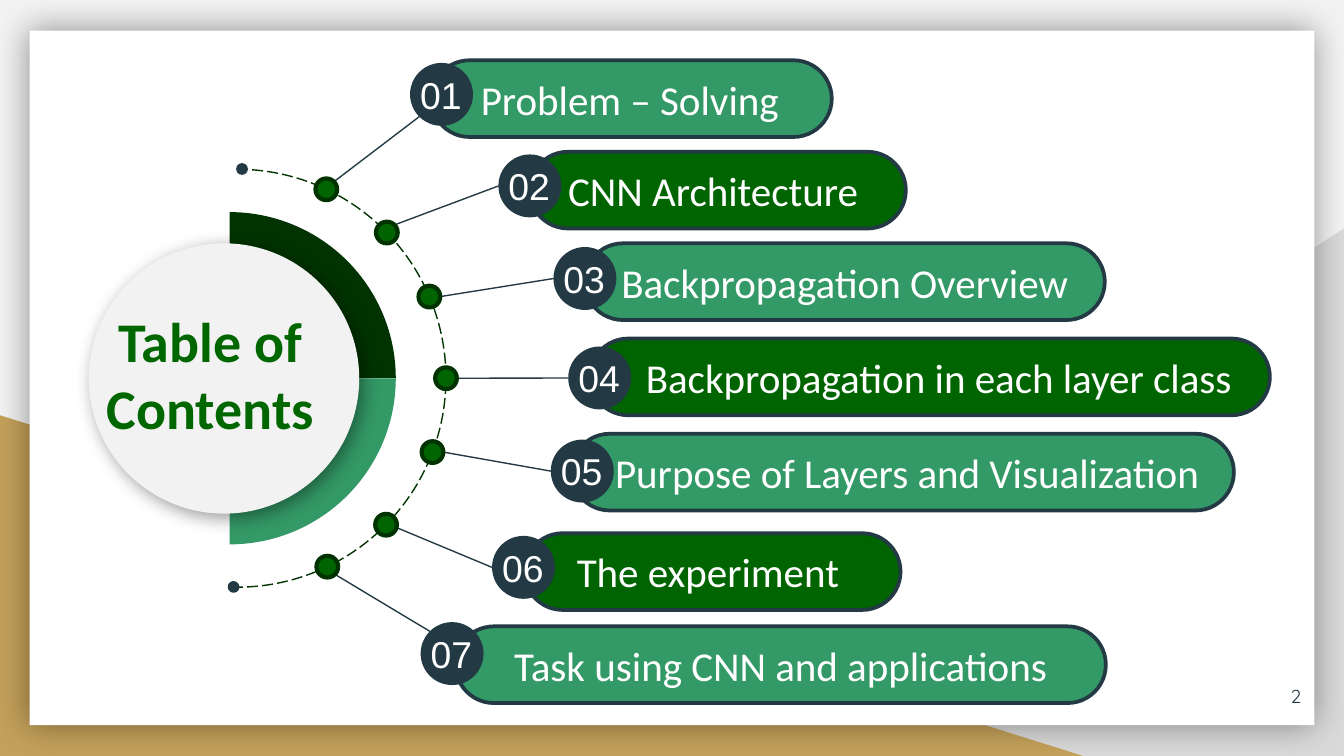
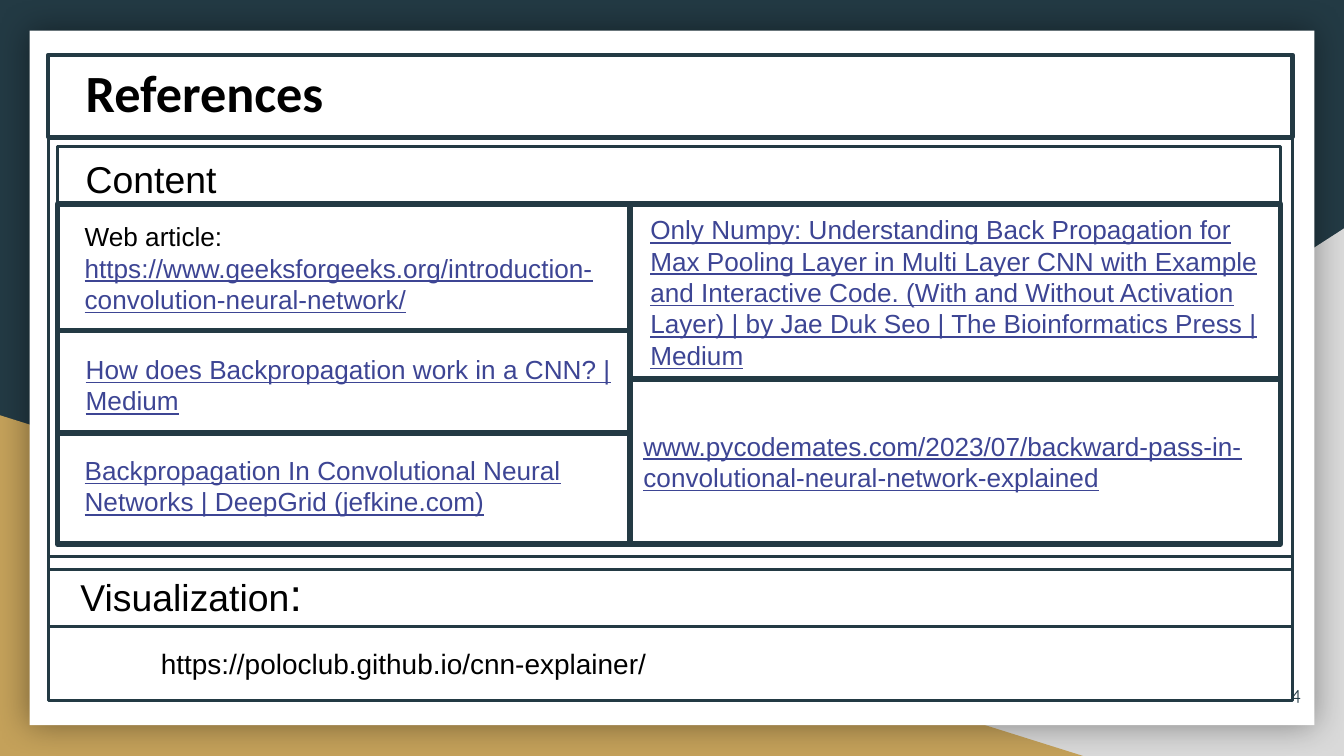
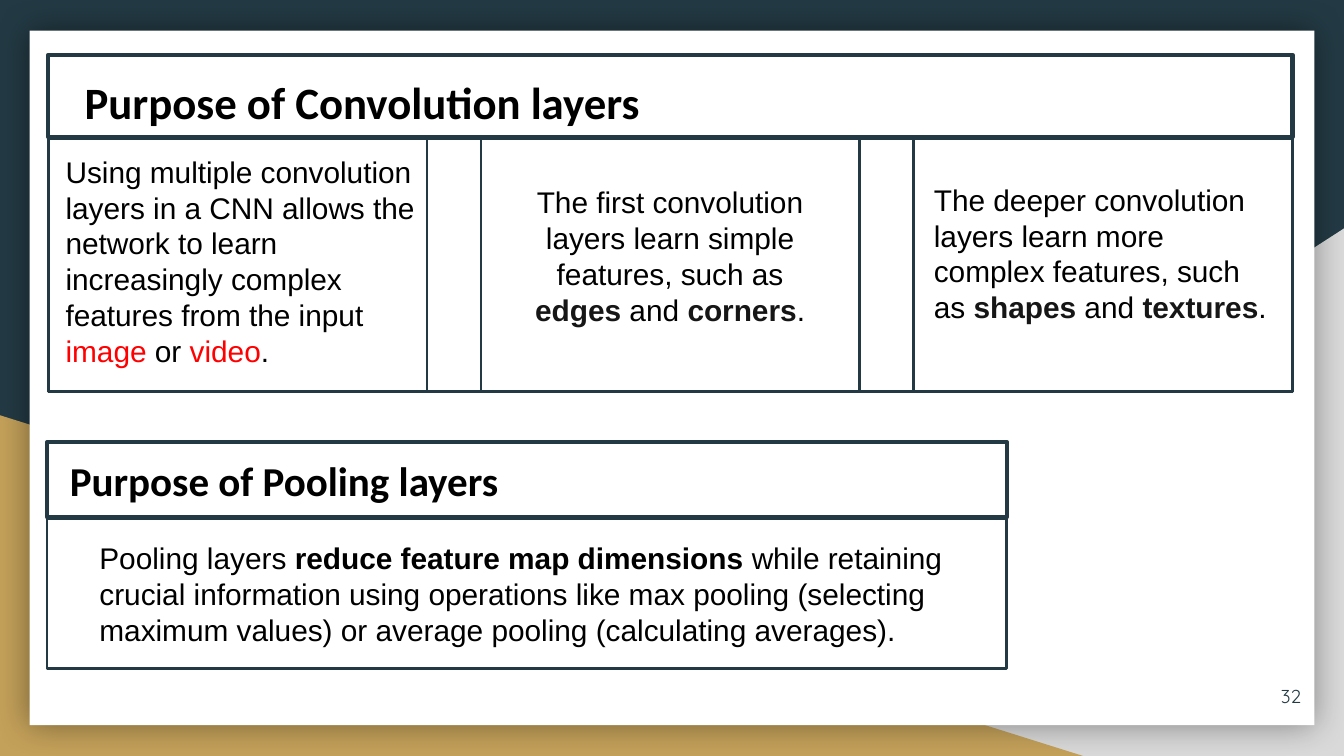
from dataclasses import dataclass
from math import cos, radians, sin
from typing import NamedTuple

from lxml import etree
from pptx import Presentation
from pptx.dml.color import RGBColor
from pptx.enum.dml import MSO_LINE
from pptx.enum.shapes import MSO_CONNECTOR, MSO_SHAPE
from pptx.enum.text import MSO_ANCHOR, PP_ALIGN
from pptx.oxml.ns import qn
from pptx.shapes.autoshape import Shape
from pptx.slide import Slide
from pptx.util import Cm, Pt

OVAL = MSO_SHAPE.OVAL
RECT = MSO_SHAPE.RECTANGLE
PILL = MSO_SHAPE.ROUNDED_RECTANGLE
ANGLE = MSO_SHAPE.RIGHT_TRIANGLE
ARC = MSO_SHAPE.ARC
WEDGE = MSO_SHAPE.PIE_WEDGE
LINE = MSO_CONNECTOR.STRAIGHT
DASH = MSO_LINE.LONG_DASH
LEFT = PP_ALIGN.LEFT
RIGHT = PP_ALIGN.RIGHT
CENTER = PP_ALIGN.CENTER
TOP = MSO_ANCHOR.TOP
MIDDLE = MSO_ANCHOR.MIDDLE

BLACK = RGBColor(0x00, 0x00, 0x00)
WHITE = RGBColor(0xFF, 0xFF, 0xFF)
PALE = RGBColor(0xF2, 0xF2, 0xF2)
GRAY = RGBColor(0xD9, 0xD9, 0xD9)
GOLD = RGBColor(0xC4, 0xA1, 0x5A)
NAVY = RGBColor(0x23, 0x3A, 0x44)
FOREST = RGBColor(0x00, 0x64, 0x00)
GREEN = RGBColor(0x00, 0x66, 0x00)
DEEP = RGBColor(0x00, 0x33, 0x00)
MINT = RGBColor(0x33, 0x99, 0x66)
LINK = RGBColor(0x3D, 0x45, 0x94)
RED = RGBColor(0xFF, 0x00, 0x00)
INK = RGBColor(0x16, 0x16, 0x16)

SANS = "Arial"
HEAD = "Calibri"
PAGE = "Quicksand"

HUB_X, HUB_Y, REACH = 4.48, 7.15, 3.95
DOT, BADGE, BAR = 0.41, 1.19, 1.45
EDGE, WIDE = 0.91, 23.52
SIDE, ROOF = 0.25, 0.13


class Spot(NamedTuple):
    left: float
    top: float
    width: float
    height: float


class Run(NamedTuple):
    text: str
    color: RGBColor | None = None
    bold: bool | None = None
    under: bool | None = None
    size: float | None = None


@dataclass(frozen=True)
class Style:
    size: float
    color: RGBColor = BLACK
    font: str = SANS
    bold: bool = False
    under: bool = False
    align: PP_ALIGN = LEFT
    anchor: MSO_ANCHOR = TOP
    inset: float = ROOF


@dataclass(frozen=True)
class Topic:
    label: str
    bar_x: float
    bar_y: float
    width: float
    badge_x: float
    badge_y: float
    turn: float
    leave: float
    enter: float
    shift: float = 0


BODY = Style(16)
CITE = Style(14, LINK, under=True)
LABEL = Style(22, WHITE, HEAD, align=CENTER, anchor=MIDDLE)
COUNT = Style(20, WHITE)
FOLIO = Style(10, NAVY, PAGE, align=RIGHT, anchor=MIDDLE, inset=SIDE)

TOPICS = [
    Topic("Problem – Solving", 8.15, 1.14, 7.57, 7.75, 1.19, -64.7, -45, 135, -0.06),
    Topic("CNN Architecture", 10.01, 2.87, 7.11, 9.42, 2.92, -44.2, -45, 180, -0.17),
    Topic("Backpropagation Overview", 11.05, 4.6, 9.83, 10.46, 4.67, -23, 0, 180),
    Topic("Backpropagation in each layer class", 11.15, 6.4, 12.85, 10.74, 6.55,
          0, 0, 180, 0.34),
    Topic("Purpose of Layers and Visualization", 10.8, 8.2, 12.52, 10.41, 8.31,
          20.7, 0, 180, 0.17),
    Topic("The experiment", 9.91, 10.08, 7.11, 9.3, 10.13, 44.5, 210, 180, -0.17),
    Topic("Task using CNN and applications", 8.61, 11.84, 12.29, 7.95, 11.76,
          64.4, 45, 225),
]


def draw(slide: Slide, kind: MSO_SHAPE, spot: Spot, fill: RGBColor | None = None,
         line: RGBColor | None = None, weight: float = 0) -> Shape:
    shape = slide.shapes.add_shape(kind, *map(Cm, spot))
    shape.shadow.inherit = False
    if fill is None:
        shape.fill.background()
    else:
        shape.fill.solid()
        shape.fill.fore_color.rgb = fill
    if line is None:
        shape.line.fill.background()
    else:
        shape.line.color.rgb = line
        shape.line.width = Pt(weight)
    return shape


def shade(shape: Shape, blur: float, drop: float, turn: float) -> None:
    effects = shape.element.spPr.find(qn("a:effectLst"))
    outer = etree.SubElement(effects, qn("a:outerShdw"), blurRad=str(Pt(blur)),
                             dist=str(Pt(drop)), dir=str(int(turn * 60000)),
                             algn="ctr", rotWithShape="0")
    tint = etree.SubElement(outer, qn("a:srgbClr"), val=str(BLACK))
    etree.SubElement(tint, qn("a:alpha"), val="40000")


def fill_text(shape: Shape, style: Style, *lines: str | list[Run],
              shift: float = 0) -> None:
    frame = shape.text_frame
    frame.word_wrap = True
    frame.vertical_anchor = style.anchor
    frame.margin_left = Cm(SIDE + max(shift, 0))
    frame.margin_right = Cm(SIDE + max(-shift, 0))
    frame.margin_top = frame.margin_bottom = Cm(style.inset)
    for place, line in enumerate(lines):
        para = frame.add_paragraph() if place else frame.paragraphs[0]
        para.alignment = style.align
        para.font.name = style.font
        para.font.size = Pt(style.size)
        para.font.bold = style.bold
        para.font.underline = style.under
        para.font.color.rgb = style.color
        for part in [Run(line)] if isinstance(line, str) else line:
            run = para.add_run()
            run.text = part.text
            if part.color is not None:
                run.font.color.rgb = part.color
            if part.bold is not None:
                run.font.bold = part.bold
            if part.under is not None:
                run.font.underline = part.under
            if part.size is not None:
                run.font.size = Pt(part.size)


def write(slide: Slide, spot: Spot, style: Style, *lines: str | list[Run]) -> None:
    fill_text(slide.shapes.add_textbox(*map(Cm, spot)), style, *lines)


def frame_box(slide: Slide, spot: Spot, weight: float = 1.5) -> Shape:
    return draw(slide, RECT, spot, WHITE, NAVY, weight)


def title_band(slide: Slide) -> None:
    frame_box(slide, Spot(EDGE, 1.04, WIDE, 1.55), 2.25)


def heading(slide: Slide, spot: Spot, size: float, text: str) -> None:
    write(slide, spot, Style(size, font=HEAD, bold=True, inset=SIDE), text)


def stack(slide: Slide, left: float, top: float, width: float,
          heights: list[float]) -> list[Shape]:
    cells = []
    for height in heights:
        cells.append(frame_box(slide, Spot(left, top, width, height), 3))
        top += height
    return cells


def new_slide(deck: Presentation, back: RGBColor, number: int) -> Slide:
    slide = deck.slides.add_slide(deck.slide_layouts[6])
    slide.background.fill.solid()
    slide.background.fill.fore_color.rgb = back
    corner = draw(slide, ANGLE, Spot(9.96, 4.32, 15.44, 9.97), GRAY)
    corner.element.spPr.find(qn("a:xfrm")).set("flipH", "1")
    draw(slide, ANGLE, Spot(0, 7.85, 20.47, 6.44), GOLD)
    shade(draw(slide, RECT, Spot(0.56, 0.58, 24.28, 13.13), WHITE), 18, 0, 0)
    write(slide, Spot(23.32, 12.62, 1.52, 1.09), FOLIO, str(number))
    return slide


def rim(x: float, y: float, reach: float, turn: float) -> tuple[float, float]:
    return x + reach * cos(radians(turn)), y + reach * sin(radians(turn))


def add_link(slide: Slide, start: tuple[float, float],
             end: tuple[float, float]) -> None:
    link = slide.shapes.add_connector(LINE, *map(Cm, start + end))
    link.line.color.rgb = NAVY
    link.line.width = Pt(0.75)
    etree.SubElement(link.element.spPr, qn("a:effectLst"))


def add_topic(slide: Slide, number: int, topic: Topic) -> None:
    x, y = rim(HUB_X, HUB_Y, REACH, topic.turn)
    half = BADGE / 2
    add_link(slide, rim(x, y, DOT / 2, topic.leave),
             rim(topic.badge_x + half, topic.badge_y + half, half, topic.enter))
    draw(slide, OVAL, Spot(x - DOT / 2, y - DOT / 2, DOT, DOT), FOREST, DEEP, 2.25)
    bar = draw(slide, PILL, Spot(topic.bar_x, topic.bar_y, topic.width, BAR),
               MINT if number % 2 else FOREST, NAVY, 2)
    bar.adjustments[0] = 0.5
    fill_text(bar, LABEL, topic.label, shift=topic.shift)
    draw(slide, OVAL, Spot(topic.badge_x, topic.badge_y, BADGE, BADGE), NAVY)
    write(slide, Spot(topic.badge_x - 0.06, topic.badge_y + 0.04, 1.35, 1.12),
          COUNT, f"{number:02}")


def contents(deck: Presentation) -> None:
    slide = new_slide(deck, PALE, 2)
    arc = draw(slide, ARC, Spot(HUB_X - REACH, HUB_Y - REACH, 2 * REACH, 2 * REACH),
               None, DEEP, 0.75)
    arc.adjustments[0] = 162
    arc.adjustments[1] = 54.47
    arc.line.dash_style = DASH
    for left, top in [(4.5, 3.12), (4.34, 11.02)]:
        draw(slide, OVAL, Spot(left, top, 0.15, 0.15), NAVY, NAVY, 2)
    for number, topic in enumerate(TOPICS, 1):
        add_topic(slide, number, topic)
    for top, turn, fill in [(4.01, 90, DEEP), (7.15, 180, MINT)]:
        draw(slide, WEDGE, Spot(4.34, top, 3.14, 3.14), fill).rotation = turn
    shade(draw(slide, OVAL, Spot(1.68, 4.6, 5.11, 5.11), PALE), 10, 3, 45)
    write(slide, Spot(1.42, 5.66, 5.11, 2.82),
          Style(30, GREEN, HEAD, bold=True, align=CENTER), "Table of", "Contents")


def sources(deck: Presentation) -> None:
    slide = new_slide(deck, NAVY, 4)
    frame_box(slide, Spot(EDGE, 2.62, WIDE, 10.19))
    title_band(slide)
    frame_box(slide, Spot(EDGE, 2.62, WIDE, 7.9))
    frame_box(slide, Spot(EDGE, 10.77, WIDE, 2.46))
    frame_box(slide, Spot(EDGE, 11.84, WIDE, 1.4))
    frame_box(slide, Spot(1.09, 2.77, 23.11, 7.01))
    cells = stack(slide, 11.91, 3.86, 12.29, [3.3, 3.12])
    stack(slide, 1.09, 3.86, 10.82, [2.39, 1.93, 2.11])

    heading(slide, Spot(1.37, 0.89, 11.94, 1.7), 28, "References")
    write(slide, Spot(1.37, 2.82, 12.52, 1.12), Style(20), "Content")
    write(slide, Spot(1.35, 4.04, 11.3, 2.06), Style(14), [
        Run("Web article: "),
        Run("https://www.geeksforgeeks.org/introduction-convolution-neural-network/",
            LINK, under=True)])
    write(slide, Spot(1.37, 6.55, 10.92, 1.45), CITE,
          "How does Backpropagation work in a CNN? | Medium")
    write(slide, Spot(1.35, 8.46, 10.16, 1.45), CITE,
          "Backpropagation In Convolutional Neural Networks | DeepGrid (jefkine.com)")
    write(slide, Spot(12.04, 3.91, 12.19, 3.25), CITE,
          "Only Numpy: Understanding Back Propagation for Max Pooling Layer in Multi "
          "Layer CNN with Example and Interactive Code. (With and Without Activation "
          "Layer) | by Jae Duk Seo | The Bioinformatics Press | Medium")
    fill_text(cells[1], Style(14, LINK, under=True, anchor=MIDDLE),
              "www.pycodemates.com/2023/07/"
              "backward-pass-in-convolutional-neural-network-explained")
    write(slide, Spot(1.27, 10.59, 21.31, 1.27), Style(20),
          [Run("Visualization"), Run(":", size=24)])
    write(slide, Spot(2.79, 12.09, 11.33, 0.89), Style(15),
          "https://poloclub.github.io/cnn-explainer/")


def layers(deck: Presentation) -> None:
    slide = new_slide(deck, NAVY, 32)
    frame_box(slide, Spot(0.89, 8.36, 18.14, 1.42), 2.25)
    title_band(slide)
    frame_box(slide, Spot(EDGE, 2.62, WIDE, 4.78))
    for column in range(3):
        frame_box(slide, Spot(EDGE + 8.18 * column, 2.62, 7.16, 4.78))
    frame_box(slide, Spot(0.89, 9.8, 18.14, 2.84))

    heading(slide, Spot(1.35, 1.17, 11.94, 1.55), 24, "Purpose of Convolution layers")
    heading(slide, Spot(1.07, 8.36, 15.11, 1.45), 22, "Purpose of Pooling layers")
    write(slide, Spot(0.99, 2.77, 7.16, 4.37), BODY, [
        Run("Using multiple convolution layers in a CNN allows the network to learn "
            "increasingly complex features from the input "),
        Run("image", RED), Run(" or "), Run("video", RED), Run(".")])
    write(slide, Spot(9.4, 3.35, 6.53, 3), Style(16, align=CENTER), [
        Run("The first convolution layers learn simple features, such as "),
        Run("edges", INK, True), Run(" and "), Run("corners", INK, True), Run(".")])
    write(slide, Spot(17.4, 3.3, 6.88, 3), BODY, [
        Run("The deeper convolution layers learn more complex features, such as "),
        Run("shapes", INK, True), Run(" and "), Run("textures", INK, True), Run(".")])
    write(slide, Spot(1.63, 10.08, 16.71, 2.31), BODY, [
        Run("Pooling layers "), Run("reduce feature map dimensions ", bold=True),
        Run("while retaining crucial information using operations like max pooling "
            "(selecting maximum values) or average pooling (calculating averages).")])


def main() -> None:
    deck = Presentation()
    deck.slide_width = Cm(25.4)
    deck.slide_height = Cm(14.29)
    contents(deck)
    sources(deck)
    layers(deck)
    deck.save("out.pptx")


if __name__ == "__main__":
    main()
